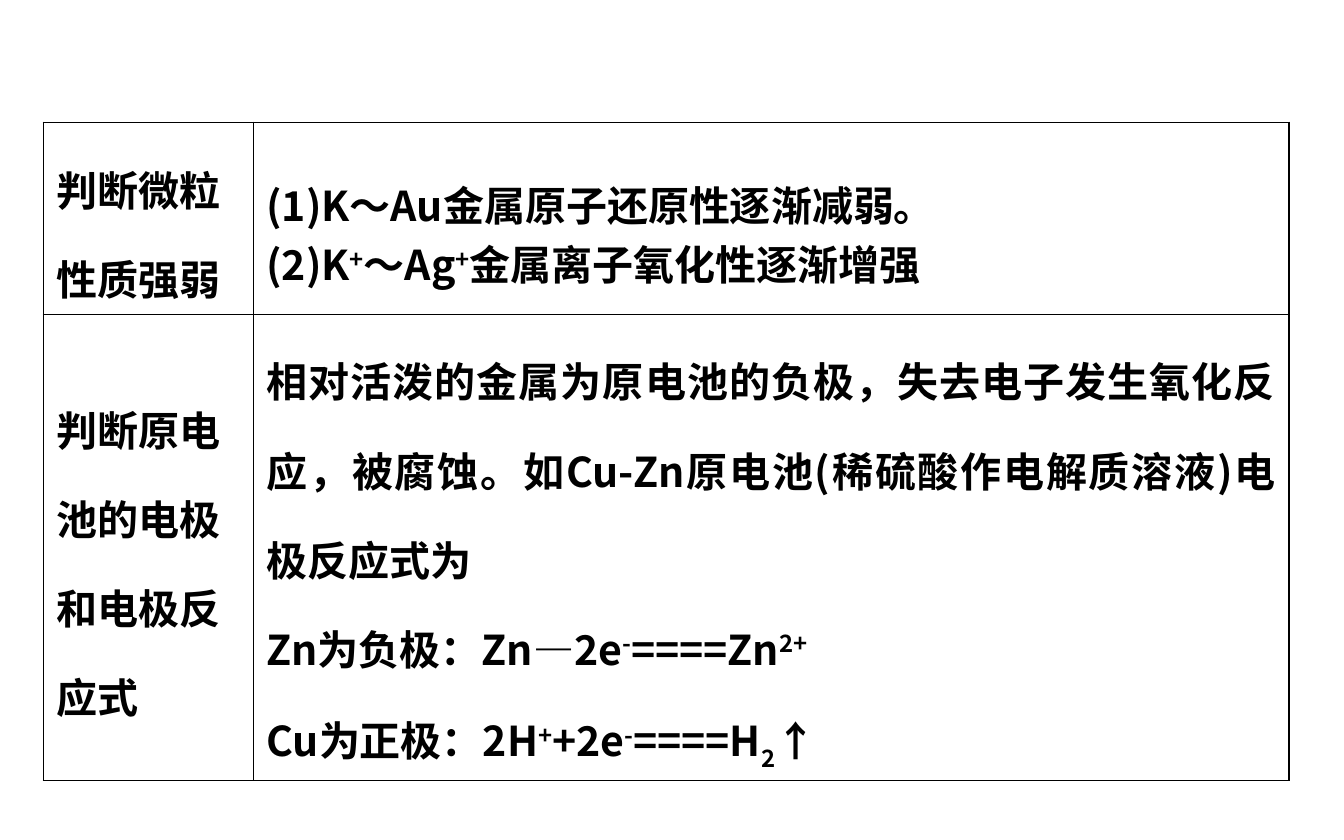
from typing import NamedTuple

from lxml.etree import SubElement
from pptx import Presentation
from pptx.dml.color import RGBColor
from pptx.enum.text import MSO_ANCHOR, PP_ALIGN
from pptx.oxml import parse_xml
from pptx.oxml.ns import nsdecls, qn
from pptx.util import Pt

BLACK = RGBColor(0, 0, 0)
FONT = "Noto Sans CJK SC"
OUTER, INNER = 0.96, 0.45
COL_WIDTHS = (112.3, 555.1)
ROW_HEIGHTS = (86.4, 218.9)
SUPER, SUB = 30000, -25000


class Run(NamedTuple):
    text: str
    baseline: int = 0


class Para(NamedTuple):
    runs: list[Run]
    spacing: float = 1.5
    align: PP_ALIGN = PP_ALIGN.LEFT


ROWS = [
    [
        [Para([Run("判断微粒性质强弱")])],
        [
            Para([Run("(1)K～Au金属原子还原性逐渐减弱。")]),
            Para([Run("(2)K"), Run("+", SUPER), Run("～Ag"), Run("+", SUPER),
                  Run("金属离子氧化性逐渐增强")], spacing=1.0),
        ],
    ],
    [
        [Para([Run("判断原电池的电极和电极反应式")])],
        [
            Para([Run("相对活泼的金属为原电池的负极，失去电子发生氧化反应，被腐蚀。"
                      "如Cu-Zn原电池(稀硫酸作电解质溶液)电极反应式为")],
                 align=PP_ALIGN.JUSTIFY),
            Para([Run("Zn为负极：Zn―2e"), Run("-", SUPER), Run("====Zn"),
                  Run("2+", SUPER)], align=PP_ALIGN.JUSTIFY),
            Para([Run("Cu为正极：2H"), Run("+", SUPER), Run("+2e"), Run("-", SUPER),
                  Run("====H"), Run("2", SUB), Run("↑")]),
        ],
    ],
]


def write_paragraph(p, para: Para) -> None:
    p.alignment = para.align
    p.line_spacing = para.spacing
    p.font.name = FONT
    p.font.size = Pt(22)
    p.font.bold = True
    p.font.color.rgb = BLACK
    east_asian = SubElement(p._p.pPr.find(qn("a:defRPr")), qn("a:ea"))
    east_asian.set("typeface", FONT)
    for run in para.runs:
        r = p.add_run()
        r.text = run.text
        if run.baseline:
            r.font._element.set("baseline", str(run.baseline))


def set_borders(cell, widths: dict[str, float]) -> None:
    """Draw the cell's sides; widths are in points, keyed L, R, T, B in that order."""
    tc_pr = cell._tc.get_or_add_tcPr()
    for i, (side, width) in enumerate(widths.items()):
        tc_pr.insert(i, parse_xml(
            f'<a:ln{side} {nsdecls("a")} w="{Pt(width)}"><a:solidFill>'
            f'<a:srgbClr val="{BLACK}"/></a:solidFill></a:ln{side}>'))


def fill_cell(cell, paras: list[Para]) -> None:
    cell.fill.background()
    cell.vertical_anchor = MSO_ANCHOR.MIDDLE
    cell.margin_left = cell.margin_right = Pt(7.2)
    cell.margin_top = cell.margin_bottom = Pt(3.6)
    tf = cell.text_frame
    for i, para in enumerate(paras):
        write_paragraph(tf.add_paragraph() if i else tf.paragraphs[0], para)


def main() -> None:
    prs = Presentation()
    prs.slide_width, prs.slide_height = Pt(720), Pt(450)
    s = prs.slides.add_slide(prs.slide_layouts[6])
    last_row, last_col = len(ROW_HEIGHTS) - 1, len(COL_WIDTHS) - 1
    table = s.shapes.add_table(len(ROW_HEIGHTS), len(COL_WIDTHS), Pt(23.3), Pt(65.6),
                               Pt(sum(COL_WIDTHS)), Pt(sum(ROW_HEIGHTS))).table
    table.first_row = table.horz_banding = False
    for column, width in zip(table.columns, COL_WIDTHS):
        column.width = Pt(width)
    for row, height in zip(table.rows, ROW_HEIGHTS):
        row.height = Pt(height)
    for i, row in enumerate(ROWS):
        for j, paras in enumerate(row):
            cell = table.cell(i, j)
            fill_cell(cell, paras)
            set_borders(cell, {
                "L": OUTER if j == 0 else INNER,
                "R": OUTER if j == last_col else INNER,
                "T": OUTER if i == 0 else INNER,
                "B": OUTER if i == last_row else INNER,
            })
    prs.save("out.pptx")


if __name__ == "__main__":
    main()
